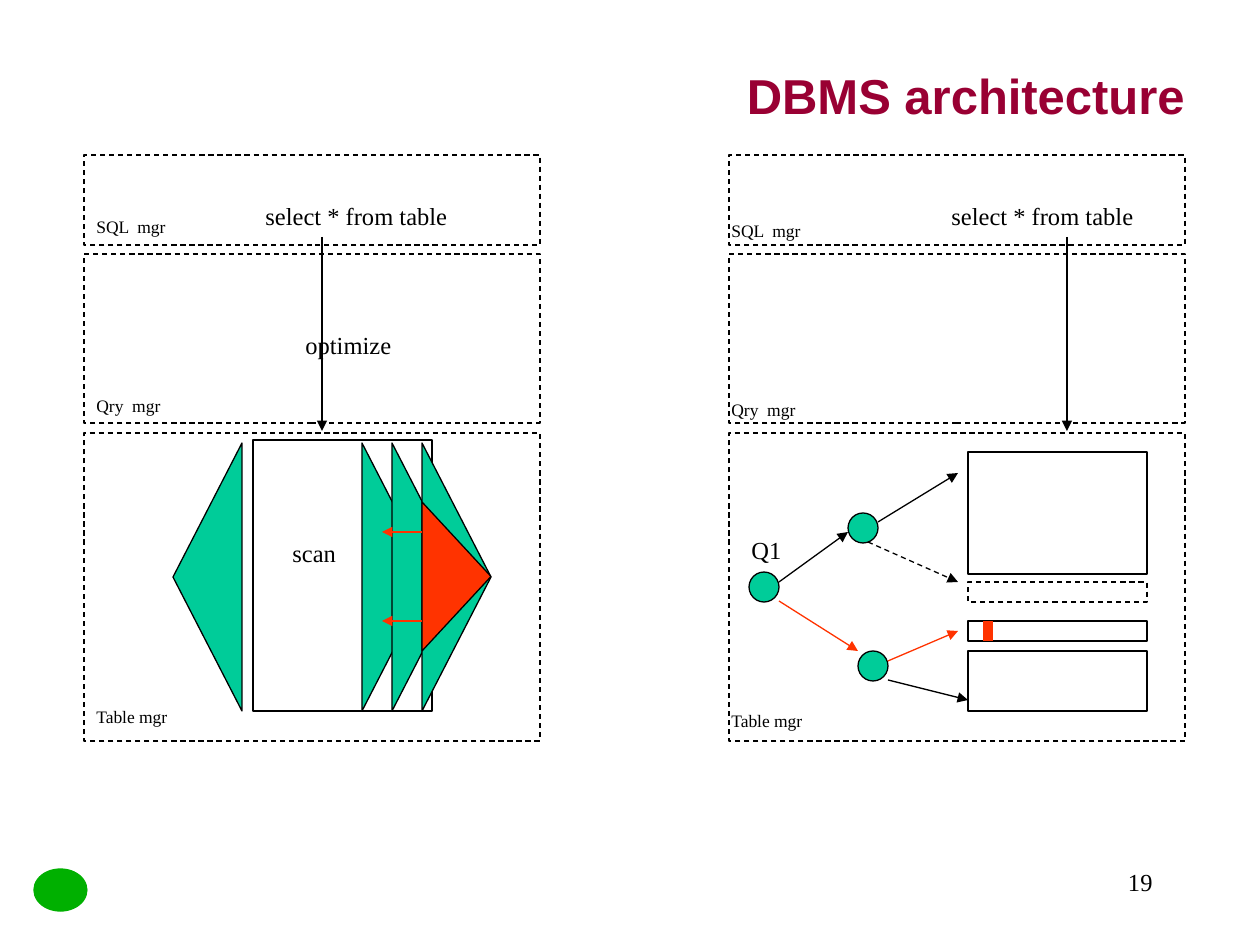
import pptx
import pptx.util
import pptx.dml.color
import pptx.enum.dml
import pptx.enum.shapes
import pptx.enum.text
import pptx.oxml.ns
from lxml import etree

PX = 914400 / 126
BLACK, GREEN, RED, WINE, LEAF = "000000", "00CC99", "FF3300", "990033", "00B000"
SHAPE = pptx.enum.shapes.MSO_SHAPE
ALIGN = pptx.enum.text.PP_ALIGN
ANCHOR = pptx.enum.text.MSO_ANCHOR
FIT = pptx.enum.text.MSO_AUTO_SIZE


def emu(*sizes):
    return [pptx.util.Emu(round(size * PX)) for size in sizes]


def color(code):
    return pptx.dml.color.RGBColor.from_string(code)


def stroke(line, code, width, dash):
    line.color.rgb = color(code)
    line.width = pptx.util.Pt(width)
    if dash:
        line.dash_style = pptx.enum.dml.MSO_LINE.DASH


def text(slide, words, x, y, w, h, size=14, font="Times New Roman", code=BLACK,
         bold=False, align=ALIGN.LEFT, anchor=ANCHOR.TOP, wrap=False):
    box = slide.shapes.add_textbox(*emu(x, y, w, h))
    frame = box.text_frame
    frame.word_wrap = wrap
    frame.auto_size = FIT.NONE if wrap else FIT.SHAPE_TO_FIT_TEXT
    frame.vertical_anchor = anchor
    para = frame.paragraphs[0]
    para.alignment = align
    run = para.add_run()
    run.text = words
    run.font.size = pptx.util.Pt(size)
    run.font.name = font
    run.font.bold = bold
    run.font.color.rgb = color(code)


def shape(slide, kind, x, y, w, h, fill=None, line=BLACK, dash=False):
    item = slide.shapes.add_shape(kind, *emu(x, y, w, h))
    item.shadow.inherit = False
    if fill:
        item.fill.solid()
        item.fill.fore_color.rgb = color(fill)
    else:
        item.fill.background()
    stroke(item.line, line, 0.75, dash)
    return item


def spike(slide, x, y, w, h, fill=GREEN, turn=90):
    """Triangle turned sideways that fills the box x, y, w, h."""
    item = shape(slide, SHAPE.ISOSCELES_TRIANGLE,
                 x + (w - h) / 2, y + (h - w) / 2, h, w, fill)
    item.rotation = turn


def link(slide, x1, y1, x2, y2, code=BLACK, width=0.75, dash=False, head=True):
    line = slide.shapes.add_connector(
        pptx.enum.shapes.MSO_CONNECTOR.STRAIGHT, *emu(x1, y1, x2, y2))
    stroke(line.line, code, width, dash)
    qn = pptx.oxml.ns.qn
    if head:
        etree.SubElement(line.line._get_or_add_ln(), qn("a:tailEnd"), type="triangle")
    etree.SubElement(line._element.spPr, qn("a:effectLst"))


def layers(slide, x, y, dx, dy):
    """Three dashed frames; dx and dy shift their labels."""
    for name, top, high, label, wide in (("SQL  mgr", 0, 90, 55, 96),
                                         ("Qry  mgr", 99, 169, 234, 92),
                                         ("Table mgr", 278, 308, 545, 98)):
        shape(slide, SHAPE.RECTANGLE, x, y + top, 456, high, dash=True)
        text(slide, name, x + dx, y + label + dy, wide, 34, size=10)


def query(slide, x, y, left, stem):
    """Query text at left with its arrow down at stem."""
    link(slide, x + stem, y + 82, x + stem, y + 276)
    text(slide, "select * from table", x + left, y + 40, 207, 43)


def scan(slide, x, y):
    layers(slide, x, y, 0, 0)
    query(slide, x, y, 169, 238)
    shape(slide, SHAPE.RECTANGLE, x + 169, y + 285, 179, 271)
    text(slide, "scan", x + 196, y + 377, 70, 43)
    spike(slide, x + 89, y + 288, 69, 268, turn=270)
    for step in range(3):
        spike(slide, x + 278 + 30 * step, y + 288, 69, 268)
    spike(slide, x + 338, y + 347, 69, 149, RED)
    for top in (377, 466):
        link(slide, x + 338, y + top, x + 298, y + top, RED)
    text(slide, "optimize", x + 209, y + 169, 112, 43)


def tree(slide, x, y):
    layers(slide, x, y, -10, 4)
    query(slide, x, y, 210, 338)
    for top, high, dash in ((297, 122, False), (427, 20, True),
                            (466, 20, False), (496, 60, False)):
        shape(slide, SHAPE.RECTANGLE, x + 239, y + top, 179, high, dash=dash)
    link(slide, x + 259, y + 466, x + 259, y + 486, RED, width=6, head=False)
    for left, top in ((20, 417), (119, 358), (129, 496)):
        shape(slide, SHAPE.OVAL, x + left, y + top, 30, 30, GREEN)
    text(slide, "Q1", x + 10, y + 374, 56, 43)
    for x1, y1, x2, y2, code, dash in ((50, 427, 119, 377, BLACK, False),
                                       (149, 367, 229, 318, BLACK, False),
                                       (139, 387, 229, 427, BLACK, True),
                                       (50, 446, 129, 496, RED, False),
                                       (159, 506, 229, 476, RED, False),
                                       (159, 525, 239, 545, BLACK, False)):
        link(slide, x + x1, y + y1, x + x2, y + y2, code, dash=dash)


def main():
    deck = pptx.Presentation()
    deck.slide_width, deck.slide_height = emu(1260, 945)
    slide = deck.slides.add_slide(deck.slide_layouts[6])
    shape(slide, SHAPE.OVAL, 34, 869, 53, 42, LEAF, line=LEAF)
    text(slide, "DBMS architecture", 147, 42, 1050, 105, size=28, font="Arial",
         code=WINE, bold=True, align=ALIGN.RIGHT, anchor=ANCHOR.MIDDLE, wrap=True)
    scan(slide, 84, 155)
    tree(slide, 729, 155)
    text(slide, "19", 903, 861, 262, 63, align=ALIGN.RIGHT, wrap=True)
    deck.save("out.pptx")


if __name__ == "__main__":
    main()
